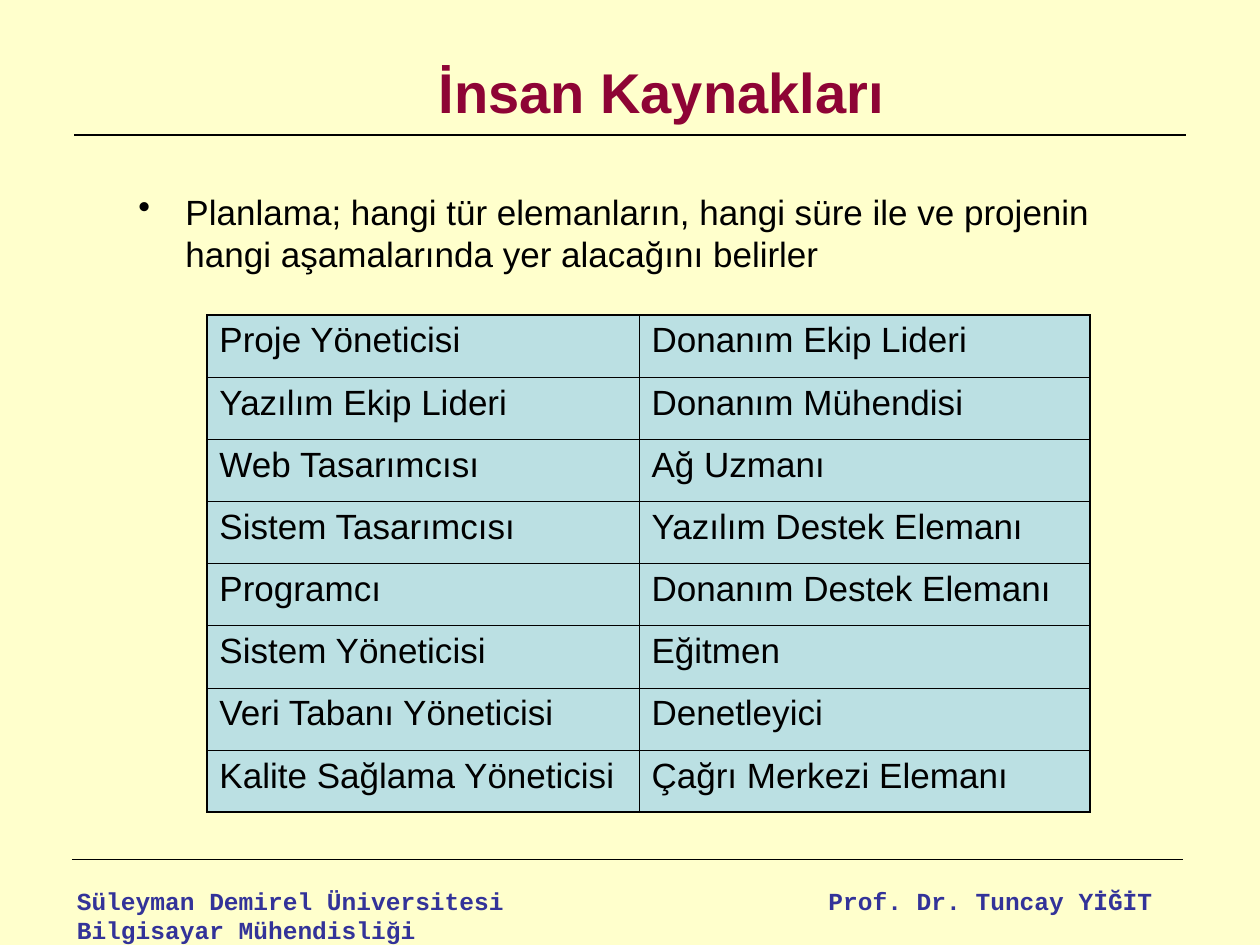
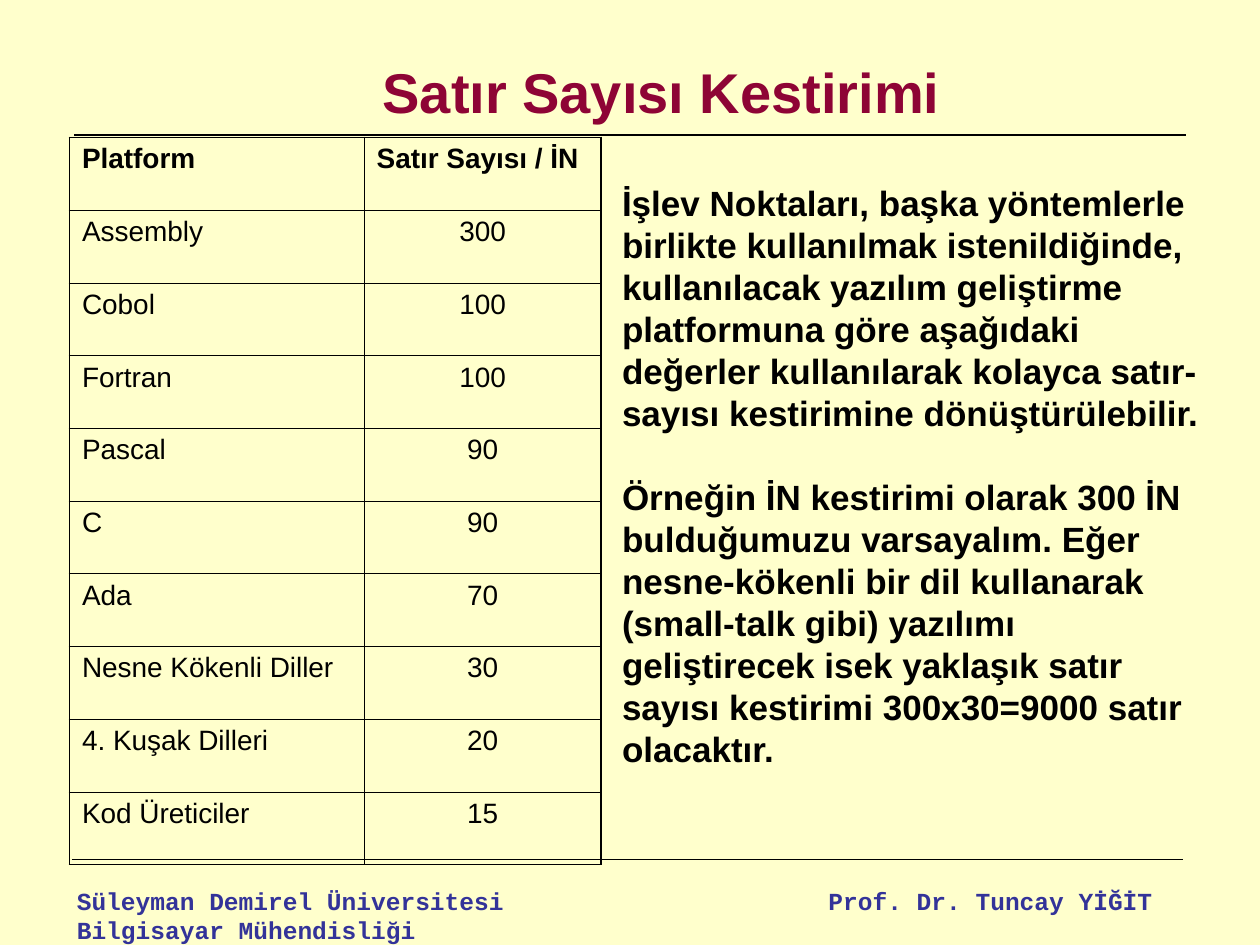
from lxml.etree import SubElement
from pptx import Presentation
from pptx.dml.color import RGBColor
from pptx.enum.shapes import MSO_CONNECTOR
from pptx.enum.text import MSO_ANCHOR, MSO_AUTO_SIZE, PP_ALIGN
from pptx.oxml.ns import qn
from pptx.util import Cm, Pt

COLOURS = {
    "background": "FFFFCC",
    "title": "8E0435",
    "footer": "333399",
    "text": "000000",
    "cell": "BBE0E3",
}
TITLE_ONLY = 5

STAFF = [
    ("Proje Yöneticisi", "Donanım Ekip Lideri"),
    ("Yazılım Ekip Lideri", "Donanım Mühendisi"),
    ("Web Tasarımcısı", "Ağ Uzmanı"),
    ("Sistem Tasarımcısı", "Yazılım Destek Elemanı"),
    ("Programcı", "Donanım Destek Elemanı"),
    ("Sistem Yöneticisi", "Eğitmen"),
    ("Veri Tabanı Yöneticisi", "Denetleyici"),
    ("Kalite Sağlama Yöneticisi", "Çağrı Merkezi Elemanı"),
]
LINES_PER_POINT = [
    ("Platform", "Satır Sayısı / İN"),
    ("Assembly", "300"),
    ("Cobol", "100"),
    ("Fortran", "100"),
    ("Pascal", "90"),
    ("C", "90"),
    ("Ada", "70"),
    ("Nesne Kökenli Diller", "30"),
    ("4. Kuşak Dilleri", "20"),
    ("Kod Üreticiler", "15"),
]


def colour(name):
    return RGBColor.from_string(COLOURS[name])


class Deck:
    """Holds the shared style and the current slide."""

    def __init__(self):
        self.presentation = Presentation()
        self.presentation.slide_width = Cm(25.4)
        self.presentation.slide_height = Cm(19.05)
        fill = self.presentation.slide_master.background.fill
        fill.solid()
        fill.fore_color.rgb = colour("background")
        self.slide = None

    def add_slide(self, title):
        layout = self.presentation.slide_layouts[TITLE_ONLY]
        self.slide = self.presentation.slides.add_slide(layout)
        # Title
        shape = self.slide.shapes.title
        shape.left, shape.top, shape.width, shape.height = Cm(2.54), Cm(0.76), Cm(21.59), Cm(2.16)
        frame = shape.text_frame
        frame.text = title
        frame.auto_size = MSO_AUTO_SIZE.NONE
        frame.vertical_anchor = MSO_ANCHOR.MIDDLE
        self.format(frame.paragraphs[0], 32, "title", bold=True, align=PP_ALIGN.CENTER)
        # Rules and footers
        self.rule(1.5, 2.72)
        self.rule(1.45, 17.32)
        self.footer("Süleyman Demirel Üniversitesi Bilgisayar Mühendisliği", 1.3, 10.8, 1.45)
        self.footer("Prof. Dr. Tuncay YİĞİT", 15.9, 7.59, 0.86, PP_ALIGN.RIGHT)

    def format(self, paragraph, size, colour_name="text", bold=False,
               font="Arial", align=PP_ALIGN.LEFT):
        paragraph.alignment = align
        paragraph.font.name = font
        paragraph.font.size = Pt(size)
        paragraph.font.bold = bold
        paragraph.font.color.rgb = colour(colour_name)

    def rule(self, left, top, width=22.4):
        line = self.slide.shapes.add_connector(
            MSO_CONNECTOR.STRAIGHT, Cm(left), Cm(top), Cm(left + width), Cm(top))
        line.line.color.rgb = colour("text")
        line.line.width = Pt(0.75)
        SubElement(line._element.spPr, qn("a:effectLst"))

    def text_box(self, paragraphs, left, top, width, height):
        box = self.slide.shapes.add_textbox(Cm(left), Cm(top), Cm(width), Cm(height))
        frame = box.text_frame
        frame.word_wrap = True
        frame.text = "\n".join(paragraphs)
        return frame.paragraphs

    def footer(self, text, left, width, height, align=PP_ALIGN.LEFT):
        paragraph, = self.text_box([text], left, 17.73, width, height)
        self.format(paragraph, 14, "footer", bold=True, font="Courier New", align=align)

    def bullet(self, text, left, top, width, height):
        paragraph, = self.text_box([text], left, top, width, height)
        self.format(paragraph, 20)
        paragraph.space_before = Pt(5)
        properties = paragraph._p.get_or_add_pPr()
        properties.set("marL", str(Cm(0.95)))
        properties.set("indent", str(-Cm(0.95)))
        # The bullet mark must come before the run defaults
        mark = SubElement(properties, qn("a:buChar"), char="•")
        properties.find(qn("a:defRPr")).addprevious(mark)

    def bold_text(self, paragraphs, left, top, width, height, gap):
        for index, paragraph in enumerate(self.text_box(paragraphs, left, top, width, height)):
            self.format(paragraph, 20, bold=True)
            paragraph.space_before = Pt(gap if index else 0)

    def borders(self, cell, outer_sides):
        properties = cell._tc.get_or_add_tcPr()
        for side in ("L", "R", "T", "B"):
            width = Pt(1.08) if side in outer_sides else Pt(0.45)
            line = SubElement(properties, qn(f"a:ln{side}"), w=str(width))
            fill = SubElement(line, qn("a:solidFill"))
            SubElement(fill, qn("a:srgbClr"), val=COLOURS["text"])

    def table(self, rows, left, top, column_widths, height, size, space_before,
              fill=None, header=False):
        last_row, last_column = len(rows) - 1, len(column_widths) - 1
        table = self.slide.shapes.add_table(
            len(rows), len(column_widths), Cm(left), Cm(top),
            Cm(sum(column_widths)), Cm(height)).table
        table.first_row = header
        table.horz_banding = False
        for column, width in zip(table.columns, column_widths):
            column.width = Cm(width)
        for row_index, row in enumerate(rows):
            for column_index, text in enumerate(row):
                cell = table.cell(row_index, column_index)
                cell.text = text
                paragraph = cell.text_frame.paragraphs[0]
                align = PP_ALIGN.CENTER if text.isdigit() else PP_ALIGN.LEFT
                self.format(paragraph, size, bold=header and row_index == 0, align=align)
                paragraph.space_before = Pt(space_before)
                edges = {"L": column_index == 0, "R": column_index == last_column,
                         "T": row_index == 0, "B": row_index == last_row}
                self.borders(cell, [side for side, outer in edges.items() if outer])
                if fill:
                    cell.fill.solid()
                    cell.fill.fore_color.rgb = colour(fill)
                else:
                    cell.fill.background()


def main():
    deck = Deck()

    # Human resources
    deck.add_slide("İnsan Kaynakları")
    deck.bullet("Planlama; hangi tür elemanların, hangi süre ile ve projenin hangi "
                "aşamalarında yer alacağını belirler", 2.54, 3.71, 21.59, 2.2)
    deck.table(STAFF, 4.17, 6.35, (8.71, 9.09), 10.03, size=20, space_before=5, fill="cell")

    # Line count estimate
    deck.add_slide("Satır Sayısı Kestirimi")
    deck.table(LINES_PER_POINT, 1.4, 2.77, (5.94, 4.78), 14.66, size=16, space_before=4,
               header=True)
    deck.bold_text([
        "İşlev Noktaları, başka yöntemlerle birlikte kullanılmak istenildiğinde, "
        "kullanılacak yazılım geliştirme platformuna göre aşağıdaki değerler "
        "kullanılarak kolayca satır-sayısı kestirimine dönüştürülebilir.",
        "Örneğin İN kestirimi olarak 300 İN bulduğumuzu varsayalım. Eğer "
        "nesne-kökenli bir dil kullanarak (small-talk gibi) yazılımı geliştirecek "
        "isek yaklaşık satır sayısı kestirimi 300x30=9000 satır olacaktır.",
    ], 12.29, 3.53, 12.5, 14.66, gap=24)

    deck.presentation.save("out.pptx")


if __name__ == "__main__":
    main()
